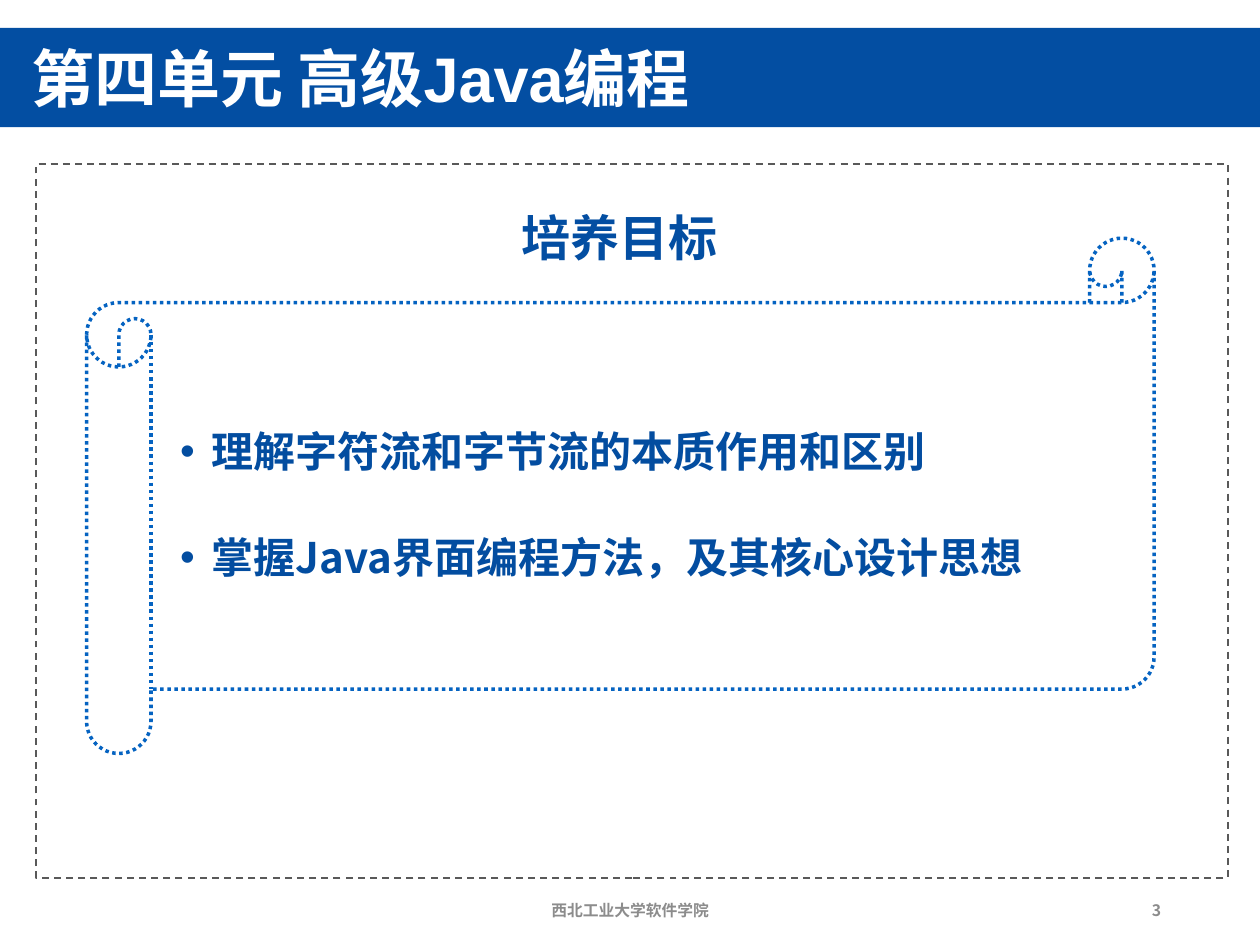
from lxml import etree
from pptx import Presentation
from pptx.dml.color import RGBColor
from pptx.enum.dml import MSO_LINE
from pptx.enum.shapes import MSO_SHAPE
from pptx.enum.text import MSO_ANCHOR, MSO_AUTO_SIZE, PP_ALIGN
from pptx.oxml.ns import qn
from pptx.util import Pt

RECTANGLE, SCROLL = MSO_SHAPE.RECTANGLE, MSO_SHAPE.HORIZONTAL_SCROLL
DASH, DOT = MSO_LINE.DASH, MSO_LINE.ROUND_DOT
TOP, MIDDLE = MSO_ANCHOR.TOP, MSO_ANCHOR.MIDDLE
LEFT, CENTER, RIGHT = PP_ALIGN.LEFT, PP_ALIGN.CENTER, PP_ALIGN.RIGHT
FIT_SHAPE = MSO_AUTO_SIZE.SHAPE_TO_FIT_TEXT

CJK_FONT, LATIN_FONT = "Noto Sans CJK SC", "Arial"
BLUE, BULLET_BLUE, SCROLL_BLUE = "034EA2", "034DA0", "0563C1"
WHITE, GREY, FRAME_GREY = "FFFFFF", "8C8C8C", "595959"


def color(hex_text):
    return RGBColor.from_string(hex_text)


class SlideBuilder:
    def __init__(self, slide):
        self.slide = slide

    def shape(self, kind, box, fill=None, line=None, width=1, dash=None):
        shape = self.slide.shapes.add_shape(kind, *map(Pt, box))
        shape.shadow.inherit = False
        if fill:
            shape.fill.solid()
            shape.fill.fore_color.rgb = color(fill)
        else:
            shape.fill.background()
        if line:
            shape.line.color.rgb = color(line)
            shape.line.width = Pt(width)
            shape.line.dash_style = dash
        else:
            shape.line.fill.background()
        return shape

    def text(self, text, box, size, ink, font=CJK_FONT, align=LEFT,
             anchor=MIDDLE, spacing=None, bullet=False, wrap=True):
        text_box = self.slide.shapes.add_textbox(*map(Pt, box))
        frame = text_box.text_frame
        frame.word_wrap = wrap
        frame.vertical_anchor = anchor
        paragraph = frame.paragraphs[0]
        paragraph.text = text
        paragraph.alignment = align
        if spacing:
            paragraph.line_spacing = spacing
        properties = paragraph._p.get_or_add_pPr()
        if bullet:
            frame.margin_left = frame.margin_right = Pt(5)
            frame.margin_top = frame.margin_bottom = Pt(3)
            properties.set("marL", str(Pt(18)))
            properties.set("indent", str(Pt(-18)))
            etree.SubElement(properties, qn("a:buFont"), typeface=LATIN_FONT)
            etree.SubElement(properties, qn("a:buChar"), char="•")
        paragraph.font.size = Pt(size)
        paragraph.font.bold = True
        paragraph.font.color.rgb = color(ink)
        paragraph.font.name = font
        # East Asian characters need their own typeface
        etree.SubElement(properties.find(qn("a:defRPr")), qn("a:ea"), typeface=CJK_FONT)
        return text_box


def main():
    presentation = Presentation()
    presentation.slide_width, presentation.slide_height = Pt(720), Pt(540)
    slide = presentation.slides.add_slide(presentation.slide_layouts[6])
    builder = SlideBuilder(slide)

    # Title band
    builder.shape(RECTANGLE, (0, 16, 720, 56.7), fill=BLUE)
    builder.text("第四单元 高级Java编程", (10.8, 20.9, 512, 51.8), 36, WHITE,
                 font=LATIN_FONT, spacing=0.9)

    # Footer
    builder.text("西北工业大学软件学院", (238.5, 506, 243, 28.8), 9, GREY, align=CENTER)
    builder.text("3", (508.5, 506, 162, 28.8), 9, GREY, align=RIGHT)

    # Frame and scroll
    builder.shape(RECTANGLE, (20.7, 93.6, 681, 408.2), line=FRAME_GREY, dash=DASH)
    scroll = builder.shape(SCROLL, (49.5, 136.1, 610, 294.5),
                           line=SCROLL_BLUE, width=2, dash=DOT)
    scroll.adjustments[0] = 0.125

    # Goals
    heading = builder.text("培养目标", (290.9, 115.2, 127.4, 41), 28, BLUE,
                           anchor=TOP, wrap=False)
    heading.text_frame.auto_size = FIT_SHAPE
    goals = [
        ("理解字符流和字节流的本质作用和区别", 226, 50.4),
        ("掌握Java界面编程方法，及其核心设计思想", 286.6, 64),
    ]
    for goal, top, height in goals:
        builder.text(goal, (97.9, top, 633, height), 24, BULLET_BLUE,
                     anchor=TOP, spacing=1.5, bullet=True)

    presentation.save("out.pptx")


if __name__ == "__main__":
    main()
